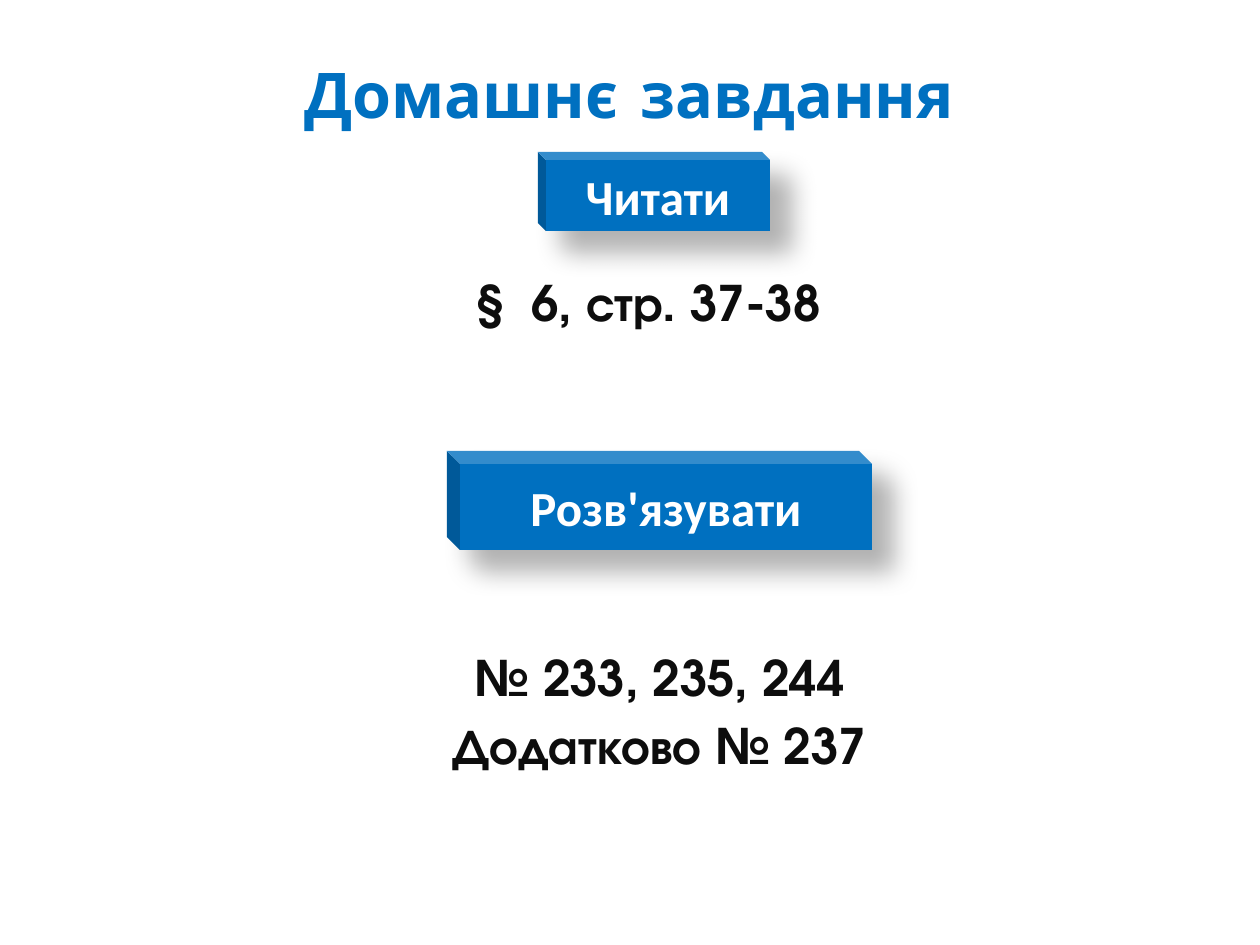
from lxml.etree import SubElement
from pptx import Presentation
from pptx.dml.color import RGBColor
from pptx.enum.shapes import MSO_SHAPE
from pptx.enum.text import MSO_ANCHOR, MSO_AUTO_SIZE, PP_ALIGN
from pptx.oxml import parse_xml
from pptx.oxml.ns import nsdecls, qn
from pptx.util import Emu, Inches, Pt

PX_PER_INCH = 126
BLUE = RGBColor(0x00, 0x70, 0xC0)
LIGHT_BLUE = RGBColor(0x00, 0xB0, 0xF0)
INK = RGBColor(0x0D, 0x0D, 0x0D)
WHITE = RGBColor(0xFF, 0xFF, 0xFF)
BLACK = RGBColor(0x00, 0x00, 0x00)


def px(length):
    return Emu(round(length * Inches(1) / PX_PER_INCH))


def write_lines(frame, text, font, color, size=28, spacing=None, outline=None):
    """Fill the frame with one bold, centred paragraph for each line of text."""
    frame.word_wrap = True
    for number, line in enumerate(text.split("\n")):
        para = frame.add_paragraph() if number else frame.paragraphs[0]
        para.alignment = PP_ALIGN.CENTER
        para.line_spacing = spacing
        span = para.add_run()
        span.text = line
        span.font.name = font
        span.font.size = Pt(size)
        span.font.bold = True
        span.font.color.rgb = color
        if outline:
            outline_span(span, outline)


def outline_span(span, color, width=0.52):
    span.font._element.insert(0, parse_xml(
        f'<a:ln {nsdecls("a")} w="{Pt(width)}"><a:solidFill>'
        f'<a:srgbClr val="{color}"/></a:solidFill></a:ln>'))


def add_text(page, left, top, width, height, text, **text_format):
    box = page.shapes.add_textbox(px(left), px(top), px(width), px(height))
    write_lines(box.text_frame, text, **text_format)
    box.text_frame.auto_size = MSO_AUTO_SIZE.SHAPE_TO_FIT_TEXT


def add_soft_shadow(shape):
    shape.shadow.inherit = False
    effects = shape._element.spPr.find(qn("a:effectLst"))
    shadow = SubElement(effects, qn("a:outerShdw"), blurRad=str(Pt(15)),
                        dist=str(Pt(18)), dir=str(45 * 60000),
                        algn="tl", rotWithShape="0")
    color = SubElement(shadow, qn("a:srgbClr"), val=str(BLACK))
    SubElement(color, qn("a:alpha"), val="30000")


def add_heading_block(page, left, top, width, height, text, depth):
    """Add a blue cube, mirrored so that its side face is on the left."""
    cube = page.shapes.add_shape(MSO_SHAPE.CUBE, px(left), px(top), px(width), px(height))
    cube.adjustments[0] = depth
    cube._element.spPr.get_or_add_xfrm().set("flipH", "1")
    cube.fill.solid()
    cube.fill.fore_color.rgb = BLUE
    cube.line.fill.background()
    add_soft_shadow(cube)
    cube.text_frame.vertical_anchor = MSO_ANCHOR.MIDDLE
    write_lines(cube.text_frame, text, font="Calibri", color=WHITE)


def main():
    deck = Presentation()
    deck.slide_width, deck.slide_height = Inches(10), Inches(7.5)
    page = deck.slides.add_slide(deck.slide_layouts[6])
    task_format = dict(font="TeX Gyre Adventor", color=INK, spacing=1.15)

    add_text(page, 416, 258, 465, 76, "§  6, стр. 37-38", **task_format)
    add_heading_block(page, 538, 152, 232, 79, "Читати", depth=0.1)
    add_text(page, 330, 633, 659, 149, "№ 233, 235, 244\nДодатково № 237", **task_format)
    add_heading_block(page, 447, 451, 425, 99, "Розв'язувати", depth=0.13)
    add_text(page, 228, 49, 803, 89, "Домашнє завдання",
             font="Comic Neue", color=BLUE, size=36, outline=LIGHT_BLUE)
    deck.save("out.pptx")


if __name__ == "__main__":
    main()
